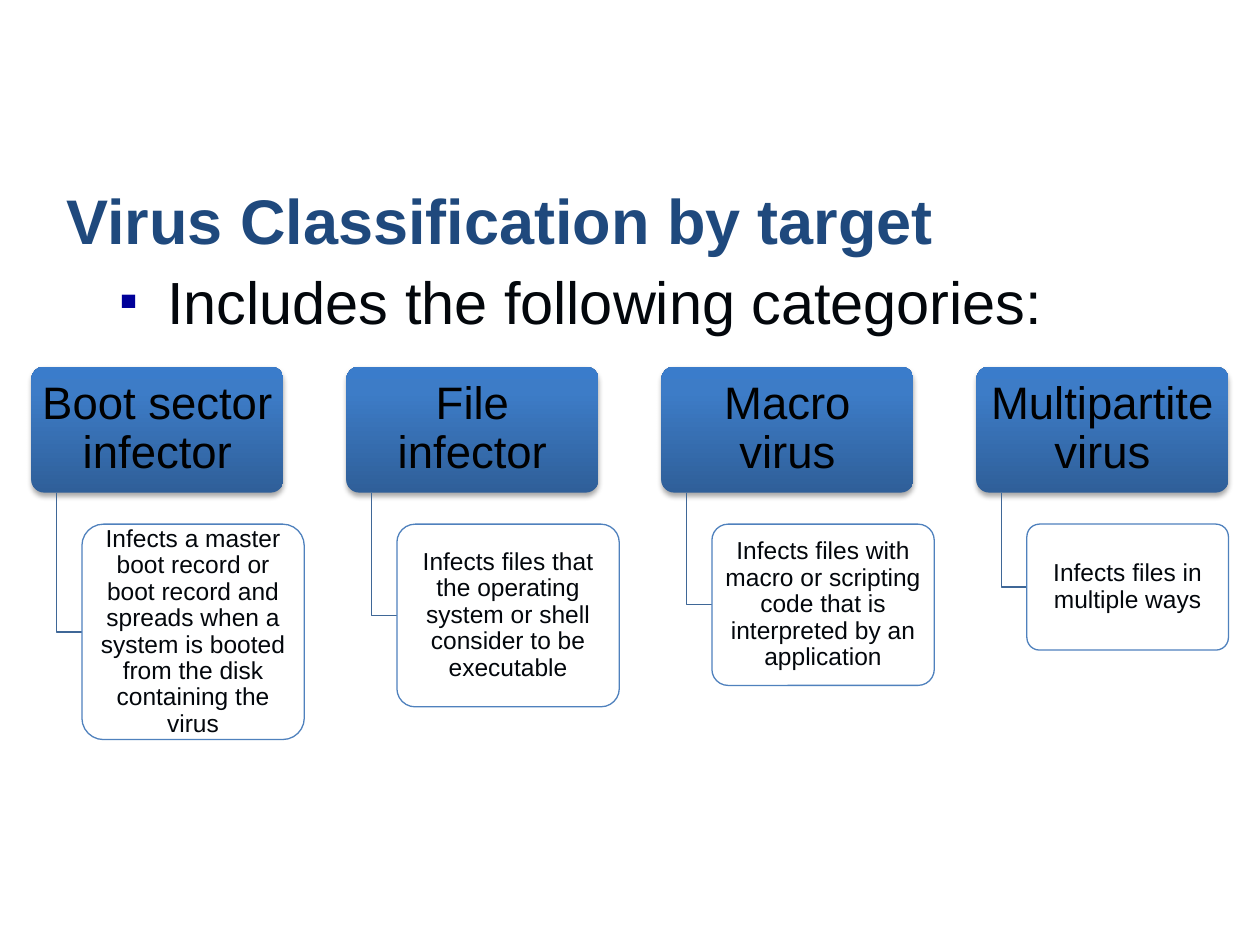
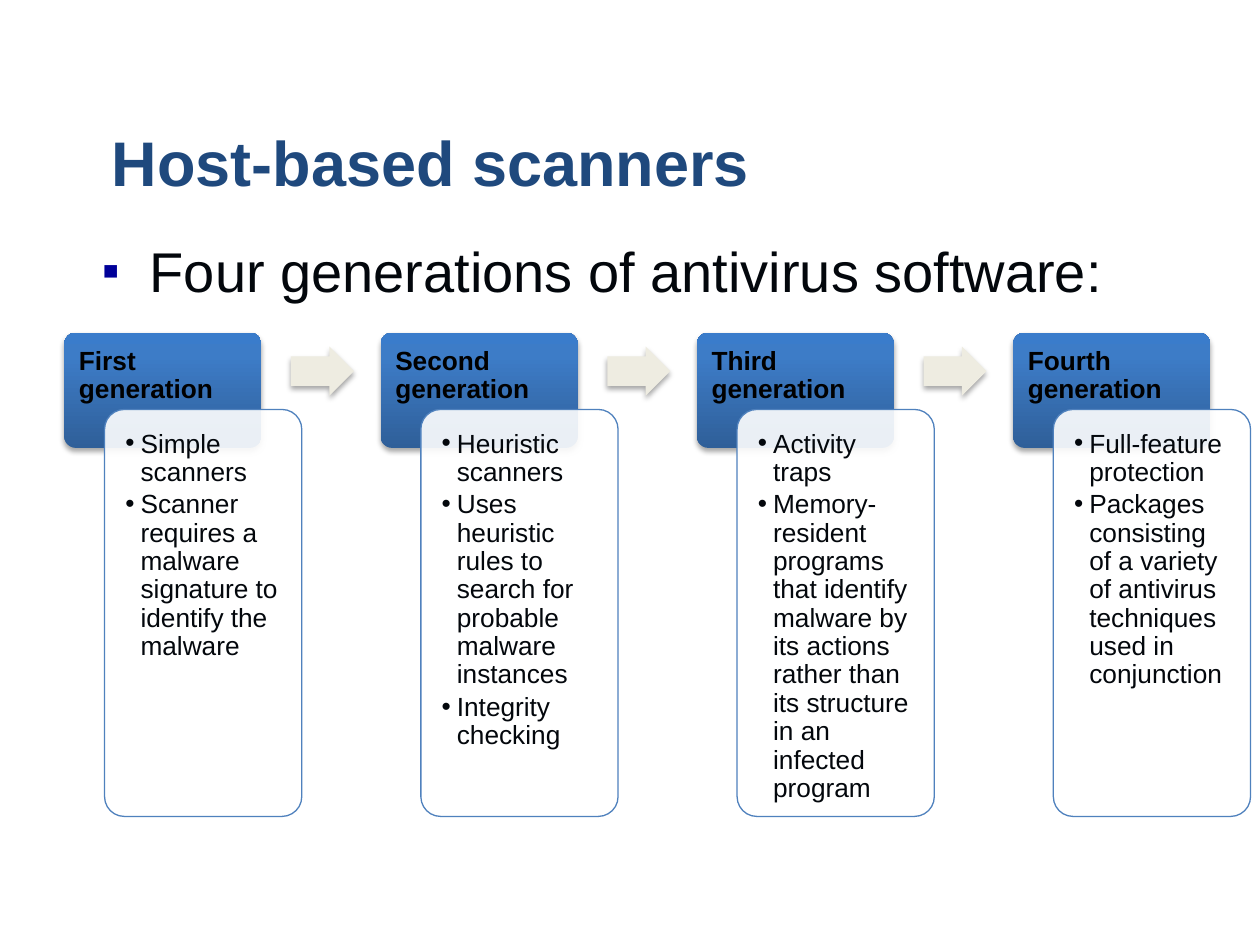
from lxml import etree
from pptx import Presentation
from pptx.dml.color import RGBColor
from pptx.enum.shapes import MSO_SHAPE
from pptx.enum.text import MSO_ANCHOR, PP_ALIGN
from pptx.oxml import parse_xml
from pptx.oxml.ns import qn, nsdecls
from pptx.util import Inches, Pt

ROUND, ARROW = MSO_SHAPE.ROUNDED_RECTANGLE, MSO_SHAPE.RIGHT_ARROW
TOP, MIDDLE, BOTTOM = MSO_ANCHOR.TOP, MSO_ANCHOR.MIDDLE, MSO_ANCHOR.BOTTOM
LEFT, CENTER = PP_ALIGN.LEFT, PP_ALIGN.CENTER

# Theme: colours, type sizes and text styles
THEME = {
    "font": "Arial", "navy": "1F497D", "ink": "03070C", "black": "000000",
    "white": "FFFFFF", "border": "4F81BD", "branch": "3F6797",
    "arrow": "EEECE1", "marker": "000099",
    "header": [(0, "2F5F99"), (80, "3D7CC7"), (100, "3A7CCB")],
    "title": 36, "target_lead": 34, "scanner_lead": 32,
    "target": 26, "effect": 14, "generation": 15,
}
# margins are in inches: left, top, right, bottom
TITLE = dict(size=THEME["title"], color=THEME["navy"], bold=True, anchor=BOTTOM,
             margins=(0.1, 0.05, 0.1, 0.05))
LEAD = dict(color=THEME["ink"], margins=(0.1, 0.1, 0.1, 0.05),
            bullet=("▪", 0.38, THEME["marker"], 90))
TARGET = dict(size=THEME["target"], color=THEME["black"], anchor=MIDDLE,
              align=CENTER, spacing=0.9, margins=(0.05, 0.04, 0.05, 0.04))
EFFECT = dict(TARGET, size=THEME["effect"], color=THEME["ink"],
              margins=(0.03, 0.02, 0.03, 0.02))
GENERATION = dict(size=THEME["generation"], color=THEME["black"], bold=True,
                  spacing=0.9, margins=(0.09, 0.09, 0.09, 0.06))
FEATURES = dict(size=THEME["generation"], color=THEME["ink"], spacing=0.9,
                after=2.25, margins=(0.12, 0.12, 0.12, 0.12),
                bullet=("•", 0.12, THEME["ink"], 100))

# Grid: 100 columns by 75 rows of square cells
prs = Presentation()
prs.slide_width, prs.slide_height = Inches(10), Inches(7.5)
CELL = prs.slide_width // 100


def write(sp, lines, style):
    """Fill a shape or text box with paragraphs in one style."""
    tf = sp.text_frame
    left, top, right, bottom = (Inches(m) for m in style["margins"])
    frame = dict(word_wrap=True, vertical_anchor=style.get("anchor", TOP),
                 margin_left=left, margin_top=top, margin_right=right, margin_bottom=bottom)
    for name, value in frame.items():
        setattr(tf, name, value)
    for i, line in enumerate(lines):
        p = tf.paragraphs[0] if i == 0 else tf.add_paragraph()
        if "bullet" in style:
            char, indent, color, percent = style["bullet"]
            pPr = p._p.get_or_add_pPr()
            pPr.set("marL", str(Inches(indent)))
            pPr.set("indent", str(-Inches(indent)))
            clr = etree.SubElement(pPr, qn("a:buClr"))
            etree.SubElement(clr, qn("a:srgbClr"), val=color)
            etree.SubElement(pPr, qn("a:buSzPct"), val=str(percent * 1000))
            etree.SubElement(pPr, qn("a:buFont"), typeface=THEME["font"])
            etree.SubElement(pPr, qn("a:buChar"), char=char)
        paragraph = dict(alignment=style.get("align", LEFT), space_before=Pt(0),
                         space_after=Pt(style.get("after", 0)),
                         line_spacing=style.get("spacing", 1.0))
        for name, value in paragraph.items():
            setattr(p, name, value)
        r = p.add_run()
        r.text = line
        font = dict(name=THEME["font"], size=Pt(style["size"]), bold=style.get("bold", False))
        for name, value in font.items():
            setattr(r.font, name, value)
        r.font.color.rgb = RGBColor.from_string(style["color"])


def add_box(s, kind, cells, fill, border=None):
    """Add a preset shape: bordered ones are translucent, the rest cast a shadow."""
    sp = s.shapes.add_shape(kind, *(round(c * CELL) for c in cells))
    sp.shadow.inherit = False
    spPr = sp._element.spPr
    if isinstance(fill, list):
        stops = "".join(f'<a:gs pos="{pos * 1000}"><a:srgbClr val="{color}"/></a:gs>'
                        for pos, color in fill)
        sp.fill.background()
        spPr.replace(spPr.find(qn("a:noFill")), parse_xml(
            f'<a:gradFill {nsdecls("a")} rotWithShape="1"><a:gsLst>{stops}</a:gsLst>'
            '<a:lin ang="16200000" scaled="0"/></a:gradFill>'))
    else:
        sp.fill.solid()
        sp.fill.fore_color.rgb = RGBColor.from_string(fill)
    if border:
        sp.line.color.rgb = RGBColor.from_string(border)
        sp.line.width = Pt(0.75)
        clr = spPr.find(qn("a:solidFill")).find(qn("a:srgbClr"))
        etree.SubElement(clr, qn("a:alpha"), val="90000")
    else:
        sp.line.fill.background()
        spPr.find(qn("a:effectLst")).append(parse_xml(
            f'<a:outerShdw {nsdecls("a")} blurRad="{Pt(3.1)}" dist="{Pt(1.8)}" dir="5400000" '
            'rotWithShape="0"><a:srgbClr val="000000"><a:alpha val="35000"/>'
            '</a:srgbClr></a:outerShdw>'))
    if kind == ROUND:
        sp.adjustments[0] = 0.1
    else:
        sp.adjustments[0], sp.adjustments[1] = 0.6, 0.5
    return sp


# Both slides: title and lead line
heads = [
    ("Virus Classification by target", (4.3, 10, 92.1, 10.9),
     "Includes the following categories:", (8.5, 20, 82.9, 8.3), THEME["target_lead"]),
    ("Host-based scanners", (7.9, 11.3, 92.1, 5),
     "Four generations of antivirus software:", (7.1, 17.8, 82.9, 8.3), THEME["scanner_lead"]),
]
slides = []
for title, title_cells, lead, lead_cells, lead_size in heads:
    s = prs.slides.add_slide(prs.slide_layouts[6])
    slides.append(s)
    for text, cells, style in ((title, title_cells, TITLE),
                               (lead, lead_cells, dict(LEAD, size=lead_size))):
        write(s.shapes.add_textbox(*(round(c * CELL) for c in cells)), [text], style)

# Slide 1: targets, each with a branch to what it does
s = slides[0]
targets = [
    ("Boot sector infector", "Infects a master boot record or boot record and spreads "
     "when a system is booted from the disk containing the virus", 17.65, 17.1),
    ("File infector", "Infects files that the operating system or shell consider "
     "to be executable", 17.65, 14.5),
    ("Macro virus", "Infects files with macro or scripting code that is interpreted "
     "by an application", 17.65, 12.8),
    ("Multipartite virus", "Infects files in multiple ways", 16, 10),
]
head_y, head_w, head_h, effect_y, step = 29.1, 20, 10, 41.6, 2
for i, (target, effect, effect_w, effect_h) in enumerate(targets):
    x = 2.5 + 25 * i
    write(add_box(s, ROUND, (x, head_y, head_w, head_h), THEME["header"]), [target], TARGET)
    stem_x, effect_x = x + step, x + 2 * step
    middle = effect_y + effect_h / 2
    fb = s.shapes.build_freeform(round(stem_x * CELL), round((head_y + head_h) * CELL))
    fb.add_line_segments([(round(a * CELL), round(b * CELL))
                          for a, b in ((stem_x, middle), (effect_x, middle))], close=False)
    branch = fb.convert_to_shape()
    branch.shadow.inherit = False
    branch.fill.background()
    branch.line.color.rgb = RGBColor.from_string(THEME["branch"])
    branch.line.width = Pt(0.75)
    write(add_box(s, ROUND, (effect_x, effect_y, effect_w, effect_h),
                  THEME["white"], THEME["border"]), [effect], EFFECT)

# Slide 2: generations, linked by block arrows
s = slides[1]
generations = [
    ("First generation", ["Simple scanners",
                          "Scanner requires a malware signature to identify the malware"]),
    ("Second generation", ["Heuristic scanners", "Uses heuristic rules to search for "
                           "probable malware instances", "Integrity checking"]),
    ("Third generation", ["Activity traps", "Memory-resident programs that identify malware by "
                          "its actions rather than its structure in an infected program"]),
    ("Fourth generation", ["Full-feature protection", "Packages consisting of a variety of "
                           "antivirus techniques used in conjunction"]),
]
card_w = 15.65
for i, (generation, features) in enumerate(generations):
    x = 5.1 + 25.1 * i
    write(add_box(s, ROUND, (x, 26.4, card_w, 9.15), THEME["header"]), [generation], GENERATION)
    write(add_box(s, ROUND, (x + 3.2, 32.5, card_w, 32.3), THEME["white"], THEME["border"]),
          features, FEATURES)
    if i < len(generations) - 1:
        add_box(s, ARROW, (x + 18, 27.5, 5, 3.9), THEME["arrow"])

prs.save("out.pptx")
